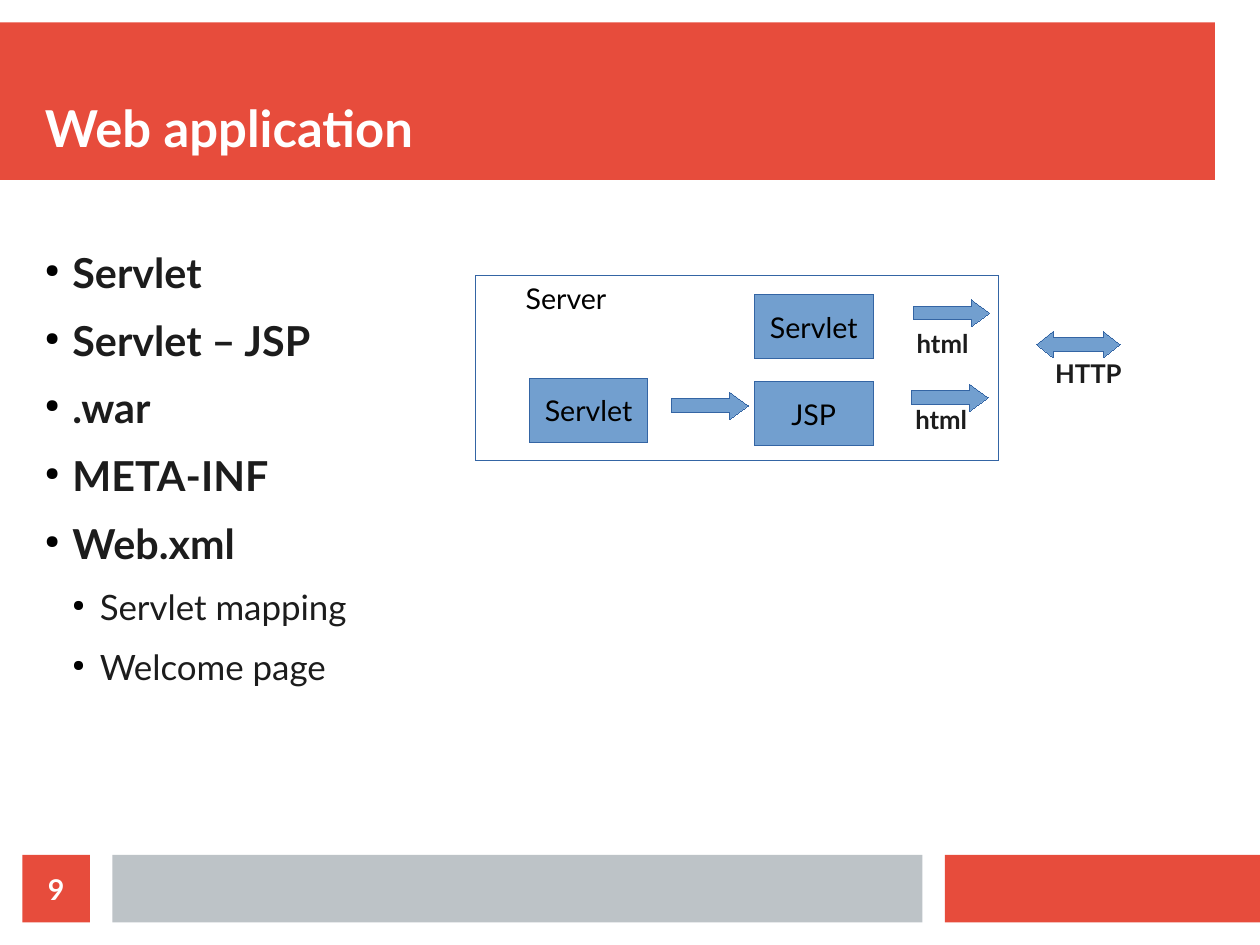
"""Build the web application slide: servlet bullets beside a server diagram."""
from dataclasses import dataclass

from lxml.etree import SubElement
from pptx import Presentation
from pptx.dml.color import RGBColor
from pptx.enum.shapes import MSO_SHAPE as Shp
from pptx.enum.text import MSO_ANCHOR as Anchor, MSO_AUTO_SIZE as Auto, PP_ALIGN as Align
from pptx.oxml.ns import qn
from pptx.util import Cm, Inches, Pt

COLORS = {"red": "E74C3C", "gray": "BDC3C7", "blue": "729FCF", "edge": "3465A4",
          "white": "FFFFFF", "black": "000000", "ink": "1C1C1C"}
FONT = "Lato"
COLS, ROWS = 56, 42
HAIRLINE = Pt(0.01)
ARROW_SIZE = (3.4, 1.22)
BOX_SIZE = (5.28, 2.84)
LABEL_SIZE = (3.25, 1.37)

prs = Presentation()
prs.slide_width, prs.slide_height = Cm(28), Cm(21)


@dataclass
class Cell:
    """A rectangle in grid columns and rows."""
    col: float
    row: float
    cols: float
    rows: float

    def emu(self) -> tuple[int, int, int, int]:
        """Return left, top, width and height as slide lengths."""
        cw, rh = prs.slide_width / COLS, prs.slide_height / ROWS
        return (round(self.col * cw), round(self.row * rh),
                round(self.cols * cw), round(self.rows * rh))


@dataclass
class Style:
    """The look of a run of text."""
    size: float
    color: str
    bold: bool = False


@dataclass
class Block:
    """A preset shape, with optional text."""
    cell: Cell
    fill: str | None = "blue"
    line: str | None = "edge"
    kind: Shp = Shp.RECTANGLE
    head: float | None = None
    text: str = ""
    style: Style | None = None


@dataclass
class Label:
    """A piece of free text."""
    cell: Cell
    text: str
    style: Style
    align: Align = Align.LEFT
    pad: tuple[float, float] = (0, 0)


@dataclass
class Bullet:
    """One line of the list."""
    text: str
    level: int = 0


TITLE = Style(32, "white", True)
NUMBER = Style(18, "white", True)
NODE = Style(18, "black")
CAPTION = Style(16.2, "ink", True)
LEVELS = [Style(26, "ink", True), Style(22, "ink")]

BANDS = [
    Block(Cell(0, 1, 54, 7), "red", None),
    Block(Cell(42, 38, 14, 3), "red", None),
    Block(Cell(5, 38, 36, 3), "gray", None),
    Block(Cell(1, 38, 3, 3), "red", None, text="9", style=NUMBER),
]
DIAGRAM = [
    Block(Cell(21.12, 12.24, 23.27, 8.23), None),
    Block(Cell(46.07, 14.73, 3.71, 1.17), kind=Shp.LEFT_RIGHT_ARROW, head=0.63),
    *(Block(Cell(c, r, *BOX_SIZE), text=t, style=NODE)
      for c, r, t in [(33.53, 13.1, "Servlet"), (23.52, 16.81, "Servlet"), (33.53, 16.97, "JSP")]),
    *(Block(Cell(c, r, *ARROW_SIZE), kind=Shp.RIGHT_ARROW, head=0.68)
      for c, r in [(40.59, 13.31), (40.52, 17.07), (29.86, 17.43)]),
]
LABELS = [
    Label(Cell(21.12, 12.24, 8.08, 2.23), "Server", NODE, Align.CENTER, (0.1, 0.05)),
    *(Label(Cell(c, r, *LABEL_SIZE), t, CAPTION)
      for c, r, t in [(46.89, 15.9, "HTTP"), (40.74, 14.58, "html"), (40.68, 17.93, "html")]),
]
BULLETS = [
    *(Bullet(t) for t in ("Servlet", "Servlet – JSP", ".war", "META-INF", "Web.xml")),
    *(Bullet(t, 1) for t in ("Servlet mapping", "Welcome page")),
]


def rgb(name: str) -> RGBColor:
    """Look up a colour."""
    return RGBColor.from_string(COLORS[name])


def format_runs(p, style: Style, align: Align = Align.LEFT) -> None:
    """Style every run of a paragraph."""
    p.alignment = align
    for r in p.runs:
        r.font.name, r.font.size, r.font.bold = FONT, Pt(style.size), style.bold
        r.font.color.rgb = rgb(style.color)


def setup_frame(tf, anchor: Anchor, pad: tuple[float, float] = (0, 0)) -> None:
    """Set wrapping, anchor and insets of a text frame."""
    tf.auto_size, tf.word_wrap, tf.vertical_anchor = Auto.NONE, True, anchor
    tf.margin_left = tf.margin_right = Inches(pad[0])
    tf.margin_top = tf.margin_bottom = Inches(pad[1])


def draw_block(s, block: Block) -> None:
    """Draw a band, box or arrow."""
    sp = s.shapes.add_shape(block.kind, *block.cell.emu())
    sp.shadow.inherit = False
    if block.fill:
        sp.fill.solid()
        sp.fill.fore_color.rgb = rgb(block.fill)
    else:
        sp.fill.background()
    if block.line:
        sp.line.color.rgb = rgb(block.line)
        sp.line.width = HAIRLINE
    else:
        sp.line.fill.background()
    if block.head:
        sp.adjustments[1] = block.head
    if block.style:
        tf = sp.text_frame
        tf.text = block.text
        setup_frame(tf, Anchor.MIDDLE)
        format_runs(tf.paragraphs[0], block.style, Align.CENTER)


def draw_label(s, label: Label) -> None:
    """Draw a piece of free text."""
    tf = s.shapes.add_textbox(*label.cell.emu()).text_frame
    tf.text = label.text
    setup_frame(tf, Anchor.TOP, label.pad)
    format_runs(tf.paragraphs[0], label.style, label.align)


def add_bullet(p, level: int) -> None:
    """Give a paragraph its indent and small black dot."""
    ppr = p._p.get_or_add_pPr()
    step = Inches(0.24)
    ppr.set("marL", str(step * (level + 1)))
    ppr.set("indent", str(-step))
    clr = SubElement(ppr, qn("a:buClr"))
    SubElement(clr, qn("a:srgbClr"), val=COLORS["black"])
    SubElement(ppr, qn("a:buSzPct"), val="45000")
    SubElement(ppr, qn("a:buChar"), char="●")


def draw_list(s, cell: Cell, bullets: list[Bullet]) -> None:
    """Draw the bulleted list."""
    tf = s.shapes.add_textbox(*cell.emu()).text_frame
    tf.text = "\n".join(b.text for b in bullets)
    setup_frame(tf, Anchor.TOP)
    for p, b in zip(tf.paragraphs, bullets):
        p.level, p.space_after = b.level, Pt(11.4)
        format_runs(p, LEVELS[b.level])
        add_bullet(p, b.level)


def draw_title(s, cell: Cell, text: str) -> None:
    """Place the title above the bands."""
    sp = s.shapes.title
    sp.left, sp.top, sp.width, sp.height = cell.emu()
    sp.text_frame.text = text
    setup_frame(sp.text_frame, Anchor.BOTTOM)
    format_runs(sp.text_frame.paragraphs[0], TITLE)
    s.shapes.element.append(sp.element)


def main() -> None:
    """Build and save the slide."""
    s = prs.slides.add_slide(prs.slide_layouts[5])
    for band in BANDS:
        draw_block(s, band)
    draw_title(s, Cell(2, 2, 52, 5), "Web application")
    draw_list(s, Cell(2, 11, 51, 26), BULLETS)
    for block in DIAGRAM:
        draw_block(s, block)
    for label in LABELS:
        draw_label(s, label)
    prs.save("out.pptx")


if __name__ == "__main__":
    main()
